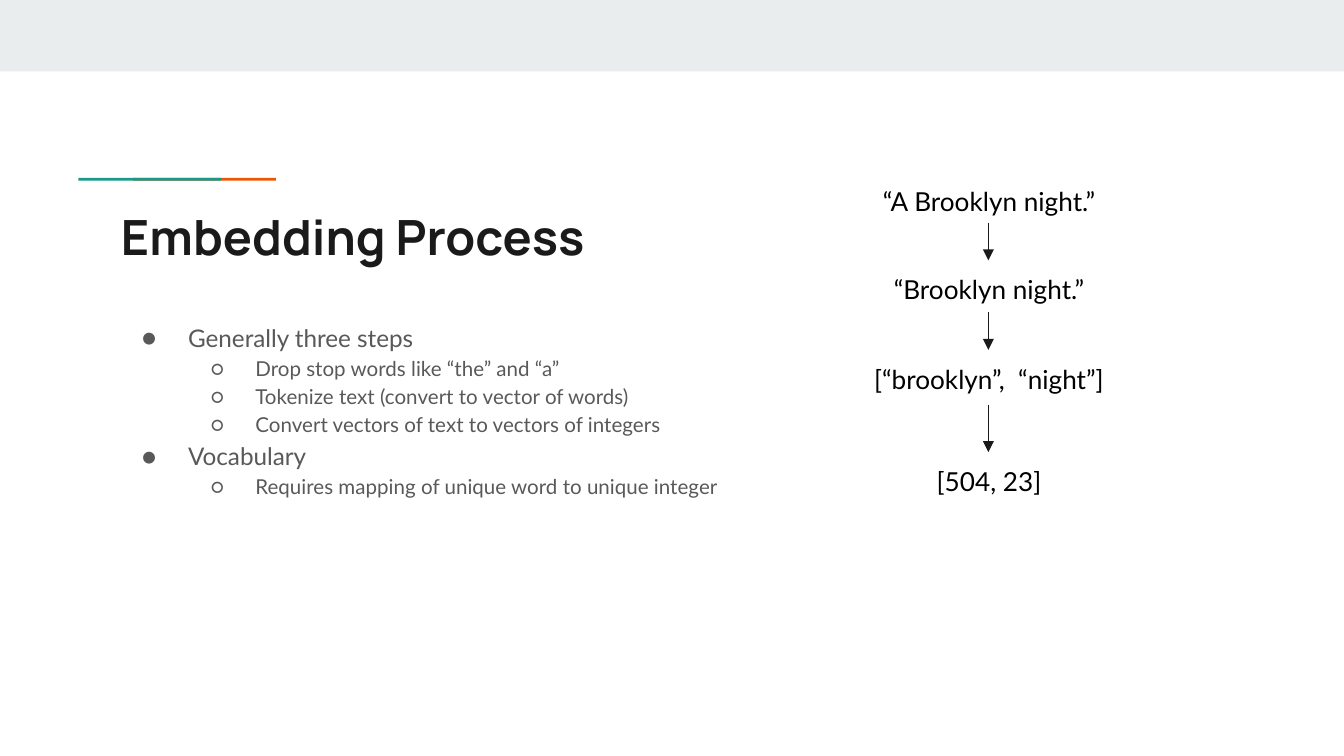
import pptx
import pptx.dml.color
import pptx.enum.shapes
import pptx.enum.text
import pptx.oxml.ns
import pptx.util
from lxml import etree

PX = 9525  # EMU per px, 96 px to the inch
COLORS = {
    "band": "E9EDEE",
    "teal": "1A9988",
    "orange": "EB5600",
    "dark": "1A1A1A",
    "grey": "595959",
    "black": "000000",
}


def rgb(name):
    return pptx.dml.color.RGBColor.from_string(COLORS[name])


def add_xml(parent, tag, **attrs):
    return etree.SubElement(parent, pptx.oxml.ns.qn(tag), **attrs)


class Deck:
    body_font = "Lato"
    title_font = "Manrope"
    inset = pptx.util.Inches(0.1)
    # (left edge, hanging indent, size, marker) for each list level
    levels = [(48, 33, 13, "●"), (96, 32, 11, "○")]

    def __init__(self, width, height):
        self.prs = pptx.Presentation()
        self.prs.slide_width = width * PX
        self.prs.slide_height = height * PX
        self.s = self.prs.slides.add_slide(self.prs.slide_layouts[6])

    def rect(self, x, y, w, h, color):
        kind = pptx.enum.shapes.MSO_SHAPE.RECTANGLE
        sp = self.s.shapes.add_shape(kind, x * PX, y * PX, w * PX, h * PX)
        sp.shadow.inherit = False
        sp.fill.solid()
        sp.fill.fore_color.rgb = rgb(color)
        sp.line.fill.background()

    def frame(self, x, y, w, h):
        sp = self.s.shapes.add_textbox(x * PX, y * PX, w * PX, h * PX)
        tf = sp.text_frame
        tf.word_wrap = True
        tf.margin_left = tf.margin_right = self.inset
        tf.margin_top = tf.margin_bottom = self.inset
        return tf

    def run(self, p, text, size, color, font=body_font, bold=False):
        r = p.add_run()
        r.text = text
        r.font.name = font
        r.font.size = pptx.util.Pt(size)
        r.font.bold = bold
        r.font.color.rgb = rgb(color)

    def title(self, x, y, w, h, text):
        p = self.frame(x, y, w, h).paragraphs[0]
        self.run(p, text, 26, "dark", self.title_font, True)

    def label(self, x, y, w, h, text):
        p = self.frame(x, y, w, h).paragraphs[0]
        p.alignment = pptx.enum.text.PP_ALIGN.CENTER
        self.run(p, text, 14, "black")

    def bullets(self, x, y, w, h, items):
        tf = self.frame(x, y, w, h)
        for i, (level, text) in enumerate(items):
            p = tf.add_paragraph() if i else tf.paragraphs[0]
            left, hang, size, marker = self.levels[level]
            p.level = level
            p.line_spacing = 1.15
            pPr = p._p.get_or_add_pPr()
            pPr.set("marL", str(left * PX))
            pPr.set("indent", str(-hang * PX))
            clr = add_xml(pPr, "a:buClr")
            add_xml(clr, "a:srgbClr", val=COLORS["grey"])
            add_xml(pPr, "a:buFont", typeface=self.body_font)
            add_xml(pPr, "a:buChar", char=marker)
            self.run(p, text, size, "grey")

    def arrow(self, x, y1, y2):
        kind = pptx.enum.shapes.MSO_CONNECTOR.STRAIGHT
        c = self.s.shapes.add_connector(kind, x * PX, y1 * PX, x * PX, y2 * PX)
        c.line.color.rgb = rgb("dark")
        c.line.width = pptx.util.Pt(0.75)
        add_xml(c.line._get_or_add_ln(), "a:tailEnd", type="triangle", w="med", len="med")
        add_xml(c._element.spPr, "a:effectLst")


def main():
    d = Deck(960, 540)

    # Top band and two-colour accent rule
    d.rect(0, 0, 960, 51, "band")
    for x, color in ((95, "orange"), (56, "teal")):
        d.rect(x, 127, 102, 2, color)

    # Title and bullet list
    d.title(77, 138, 807, 57, "Embedding Process")
    d.bullets(77, 218, 807, 237, [
        (0, "Generally three steps"),
        (1, "Drop stop words like “the” and “a”"),
        (1, "Tokenize text (convert to vector of words)"),
        (1, "Convert vectors of text to vectors of integers"),
        (0, "Vocabulary"),
        (1, "Requires mapping of unique word to unique integer"),
    ])

    # Example flow: each arrow spans the gap between two steps
    left, width = 610, 193
    steps = [
        (123, 36, "“A Brooklyn night.”"),
        (186, 37, "“Brooklyn night.”"),
        (250, 39, "[“brooklyn”,  “night”]"),
        (323, 48, "[504, 23]"),
    ]
    for y, h, text in steps:
        d.label(left, y, width, h, text)
    for (y, h, _), (below, _, _) in zip(steps, steps[1:]):
        d.arrow(left + width // 2, y + h, below)

    d.prs.save("out.pptx")


if __name__ == "__main__":
    main()
